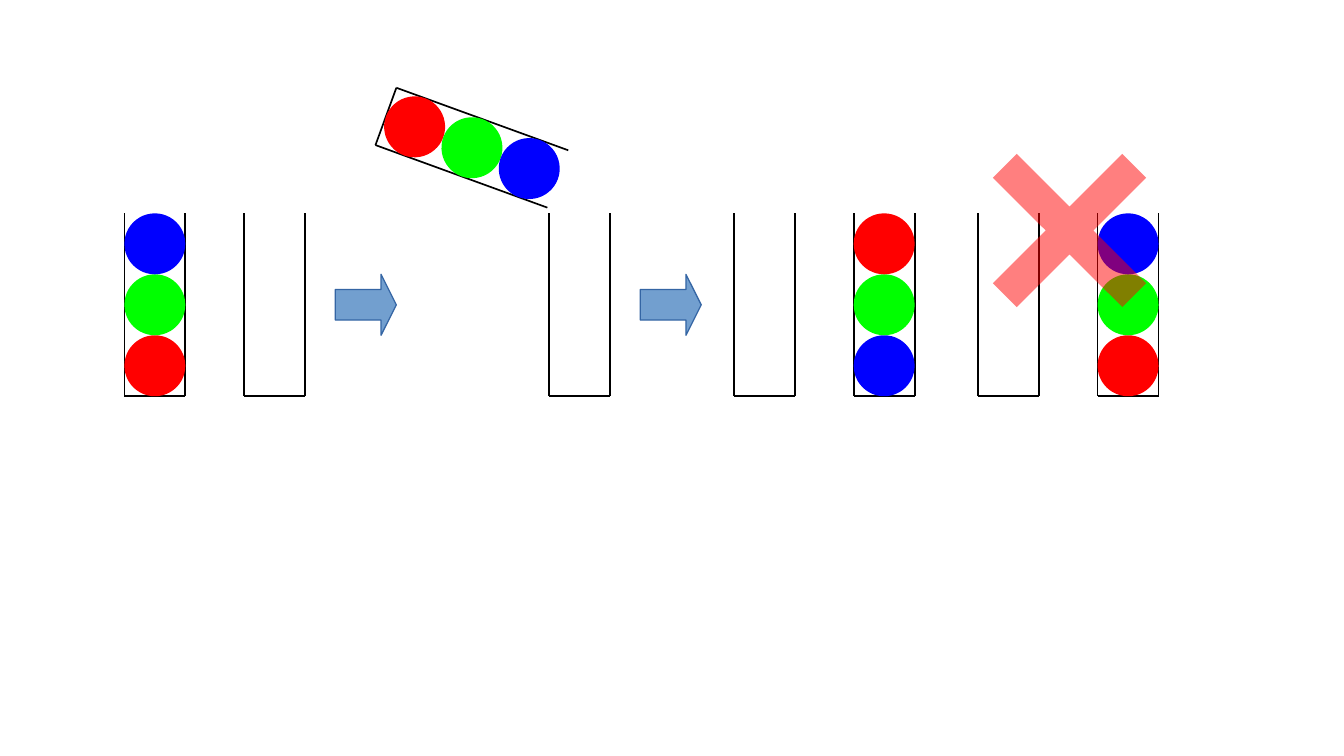
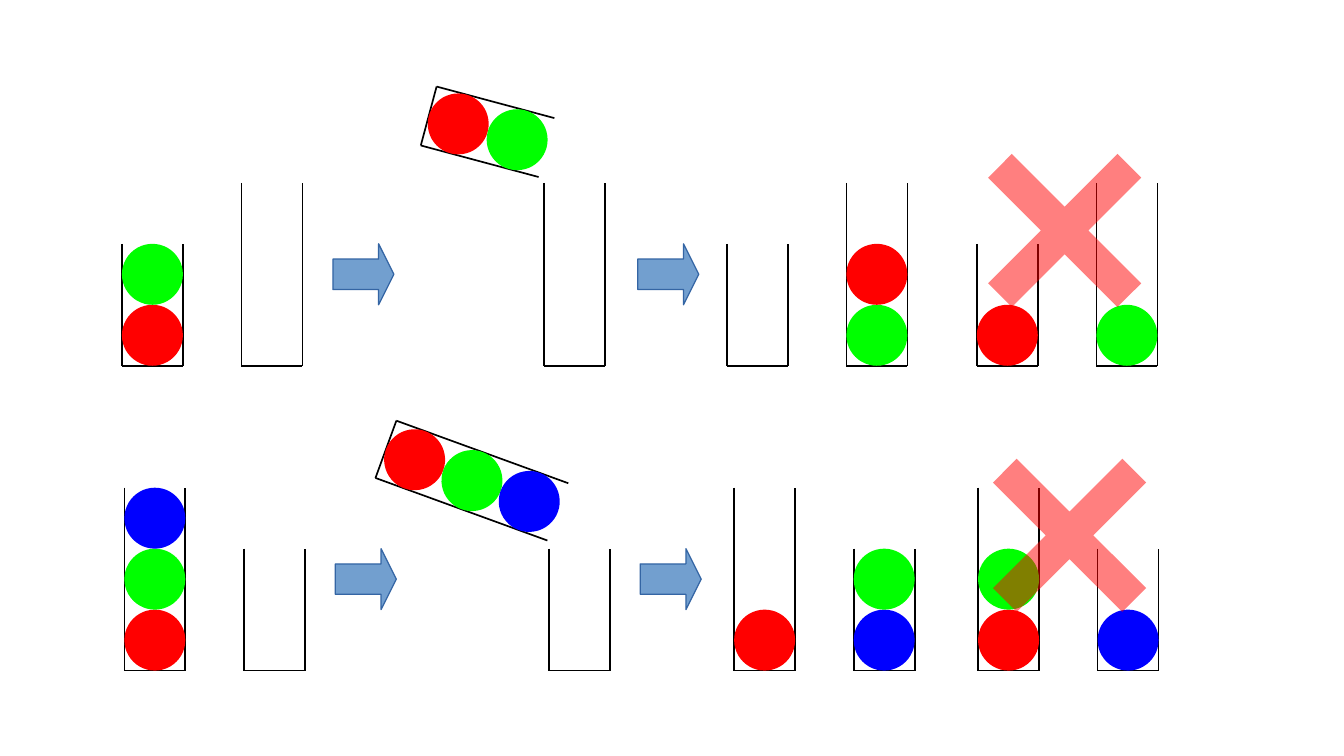
import math

import lxml.etree
import pptx
import pptx.dml.color
import pptx.enum.shapes
import pptx.oxml.ns
import pptx.util

Inches = pptx.util.Inches
SHAPES = pptx.enum.shapes.MSO_SHAPE

BALL = 0.5  # ball diameter, also the tube width
CROSS = 1.5
UPRIGHT = -90  # direction of the tube opening in degrees
COLORS = {"R": "FF0000", "G": "00FF00", "B": "0000FF"}

# Tube positions, left to right: before, pouring, after, wrong result
TUBES_X = [1.02, 2, 4.5, 6.02, 7, 8.02, 9]
TUBES_X_SHORT = [1, 1.98, 4.46, 5.96, 6.94, 8.01, 8.99]

# Each pour: capacities are in balls, balls are listed from the tube bottom.
# "tilted" holds the corner of the closed end and the angle.
EQUAL_TUBES = {
    "base": 3.25, "source": 3, "target": 3, "tubes_x": TUBES_X,
    "balls": ["RGB", "", "", "", "BGR", "", "RGB"],
    "tilted": (3.25, 0.72, 20), "arrows_x": [2.75, 5.25], "cross": (8.02, 1.14),
}
SMALL_TO_LARGE = {
    "base": 3, "source": 2, "target": 3, "tubes_x": TUBES_X_SHORT,
    "balls": ["RG", "", "", "", "GR", "R", "G"],
    "tilted": (3.58, 0.71, 15), "arrows_x": [2.73, 5.23], "cross": (7.98, 1.14),
}
LARGE_TO_SMALL = {
    "base": 5.5, "source": 3, "target": 2, "tubes_x": TUBES_X,
    "balls": ["RGB", "", "", "R", "BG", "RG", "B"],
    "tilted": (3.25, 3.45, 20), "arrows_x": [2.75, 5.25], "cross": (8.02, 3.64),
}
PAGES = [[EQUAL_TUBES], [SMALL_TO_LARGE, LARGE_TO_SMALL]]


def rgb(value):
    return pptx.dml.color.RGBColor.from_string(value)


def add_figure(shapes, kind, left, top, size, fill, angle=0):
    figure = shapes.add_shape(kind, Inches(left), Inches(top), Inches(size), Inches(size))
    figure.shadow.inherit = False
    figure.rotation = angle
    figure.fill.solid()
    figure.fill.fore_color.rgb = rgb(fill)
    figure.line.fill.background()
    return figure


def add_line(shapes, start, end):
    line = shapes.add_connector(
        pptx.enum.shapes.MSO_CONNECTOR.STRAIGHT, *[Inches(v) for v in (*start, *end)])
    line.line.color.rgb = rgb("000000")
    line.line.width = pptx.util.Pt(1)
    lxml.etree.SubElement(line._element.spPr, pptx.oxml.ns.qn("a:effectLst"))


def add_tube(shapes, x, y, capacity, balls, angle=UPRIGHT):
    """Draw an open tube from one corner of its closed end, opening at angle."""
    cos, sin = math.cos(math.radians(angle)), math.sin(math.radians(angle))

    def point(along, across):
        return x + along * cos - across * sin, y + along * sin + across * cos

    depth = capacity * BALL
    outline = [point(depth, 0), point(0, 0), point(0, BALL), point(depth, BALL)]
    for start, end in zip(outline, outline[1:]):
        add_line(shapes, start, end)
    for index, letter in enumerate(balls):
        center_x, center_y = point((index + 0.5) * BALL, BALL / 2)
        add_figure(shapes, SHAPES.OVAL, center_x - BALL / 2, center_y - BALL / 2,
                   BALL, COLORS[letter], angle - UPRIGHT)


def add_arrow(shapes, left, top):
    arrow = add_figure(shapes, SHAPES.RIGHT_ARROW, left, top, BALL, "729FCF")
    arrow.adjustments[0], arrow.adjustments[1] = 0.5, 0.25
    arrow.line.color.rgb = rgb("3465A4")
    arrow.line.width = pptx.util.Pt(0)


def add_cross(shapes, left, top):
    cross = add_figure(shapes, SHAPES.CROSS, left, top, CROSS, "FF0000", 315)
    cross.adjustments[0] = 0.408
    color = cross._element.spPr.find(".//" + pptx.oxml.ns.qn("a:srgbClr"))
    lxml.etree.SubElement(color, pptx.oxml.ns.qn("a:alpha"), val="50000")


def add_pour(page, pour):
    source, target = pour["source"], pour["target"]
    capacities = [source, target, target, source, target, source, target]
    for x, capacity, balls in zip(pour["tubes_x"], capacities, pour["balls"]):
        add_tube(page.shapes, x, pour["base"], capacity, balls)

    # The tilted tube is one group
    x, y, angle = pour["tilted"]
    tilted = page.shapes.add_group_shape()
    add_tube(tilted.shapes, x, y, source, pour["balls"][0], angle)

    for left in pour["arrows_x"]:
        add_arrow(page.shapes, left, pour["base"] - 2 * BALL)
    add_cross(page.shapes, *pour["cross"])


def main():
    deck = pptx.Presentation()
    deck.slide_width, deck.slide_height = Inches(11.02), Inches(6.2)
    for pours in PAGES:
        page = deck.slides.add_slide(deck.slide_layouts[6])
        for pour in pours:
            add_pour(page, pour)
    deck.save("out.pptx")


if __name__ == "__main__":
    main()
